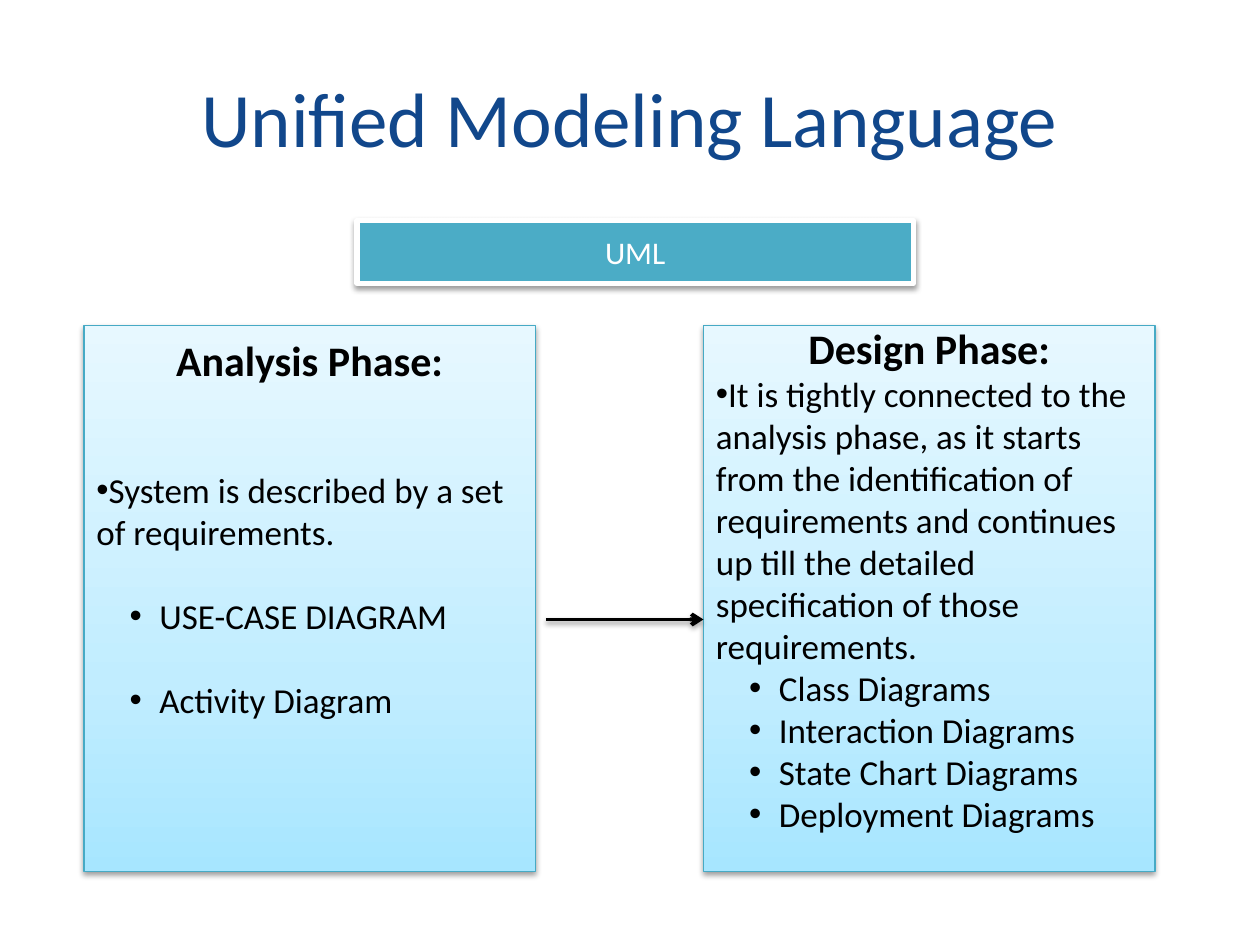
"""Build the Unified Modeling Language slide with its two phase boxes."""
from lxml.etree import SubElement
from pptx import Presentation
from pptx.dml.color import RGBColor
from pptx.enum.shapes import MSO_CONNECTOR, MSO_SHAPE
from pptx.enum.text import MSO_ANCHOR, PP_ALIGN
from pptx.oxml import parse_xml
from pptx.oxml.ns import nsdecls, qn
from pptx.util import Pt

NAVY = RGBColor(0x11, 0x47, 0x8B)
TEAL = RGBColor(0x4B, 0xAC, 0xC6)
EDGE = RGBColor(0x46, 0xAA, 0xC5)
WHITE = RGBColor(0xFF, 0xFF, 0xFF)
BLACK = RGBColor(0, 0, 0)
GRADIENT = [
    (0, RGBColor(0xA7, 0xE6, 0xFF)),
    (35, RGBColor(0xC1, 0xED, 0xFF)),
    (100, RGBColor(0xE7, 0xF8, 0xFF)),
]
BOX_TOP, BOX_WIDTH, BOX_HEIGHT = 186, 258, 312
PHASES = [
    (48, 5, 48, 24, "Analysis Phase:", "System is described by a set of requirements.",
     ["USE-CASE DIAGRAM", "Activity Diagram"]),
    (402, -2, 0, 0, "Design Phase:",
     "It is tightly connected to the analysis phase, as it starts from the identification of "
     "requirements and continues up till the detailed specification of those requirements.",
     ["Class Diagrams", "Interaction Diagrams", "State Chart Diagrams", "Deployment Diagrams"]),
]


def add_shadow(shape, opacity):
    properties = shape._element.spPr
    for effects in properties.findall(qn("a:effectLst")):
        properties.remove(effects)
    properties.append(parse_xml(
        f'<a:effectLst {nsdecls("a")}><a:outerShdw blurRad="{Pt(3.1)}" dist="{Pt(1.7)}" '
        f'dir="5400000" rotWithShape="0"><a:srgbClr val="{BLACK}">'
        f'<a:alpha val="{opacity * 1000}"/></a:srgbClr></a:outerShdw></a:effectLst>'))


def write(paragraph, text, size, color, bold=False, align=PP_ALIGN.CENTER):
    paragraph.text = text
    paragraph.alignment = align
    paragraph.font.name = "Calibri"
    paragraph.font.size = Pt(size)
    paragraph.font.bold = bold
    paragraph.font.color.rgb = color


presentation = Presentation()
presentation.slide_width, presentation.slide_height = Pt(720), Pt(540)
slide = presentation.slides.add_slide(presentation.slide_layouts[5])

title = slide.shapes.title
title.left, title.top, title.width, title.height = Pt(36), Pt(21.6), Pt(648), Pt(90)
title.text_frame.vertical_anchor = MSO_ANCHOR.MIDDLE
write(title.text_frame.paragraphs[0], "Unified Modeling Language", 44, NAVY)

banner = slide.shapes.add_shape(MSO_SHAPE.RECTANGLE, Pt(204), Pt(126), Pt(318), Pt(36))
banner.fill.solid()
banner.fill.fore_color.rgb = TEAL
banner.line.color.rgb = WHITE
banner.line.width = Pt(3)
add_shadow(banner, 38)
banner.text_frame.vertical_anchor = MSO_ANCHOR.MIDDLE
write(banner.text_frame.paragraphs[0], "UML", 18, WHITE)

for left, inset, lead_gap, item_gap, heading, lead, items in PHASES:
    box = slide.shapes.add_shape(
        MSO_SHAPE.RECTANGLE, Pt(left), Pt(BOX_TOP), Pt(BOX_WIDTH), Pt(BOX_HEIGHT))
    box.fill.gradient()
    box.fill.gradient_angle = 90
    stops = box.fill._fill._gradFill.find(qn("a:gsLst"))
    for stop in list(stops):
        stops.remove(stop)
    for position, color in GRADIENT:
        stop = SubElement(stops, qn("a:gs"), pos=str(position * 1000))
        SubElement(stop, qn("a:srgbClr"), val=str(color))
    box.line.color.rgb = EDGE
    box.line.width = Pt(0.75)
    add_shadow(box, 38)

    frame = box.text_frame
    frame.word_wrap = True
    frame.vertical_anchor = MSO_ANCHOR.TOP
    frame.margin_top = Pt(inset)
    write(frame.paragraphs[0], heading, 24, BLACK, bold=True)
    entries = [(lead, 0, 0, 0, lead_gap)] + [(item, 1, 36, -17, item_gap) for item in items]
    for text, level, margin, indent, gap in entries:
        paragraph = frame.add_paragraph()
        paragraph.level = level
        properties = paragraph._p.get_or_add_pPr()
        properties.set("marL", str(Pt(margin)))
        properties.set("indent", str(Pt(indent)))
        paragraph.line_spacing = Pt(24)
        paragraph.space_before = Pt(gap)
        SubElement(properties, qn("a:buFont"), typeface="Arial")
        SubElement(properties, qn("a:buChar"), char="•")
        write(paragraph, text, 20, BLACK, align=PP_ALIGN.LEFT)

arrow = slide.shapes.add_connector(MSO_CONNECTOR.STRAIGHT, Pt(312), Pt(354), Pt(402), Pt(354))
arrow.line.color.rgb = BLACK
arrow.line.width = Pt(2.25)
SubElement(arrow.line._get_or_add_ln(), qn("a:tailEnd"), type="arrow")
add_shadow(arrow, 35)

presentation.save("out.pptx")
